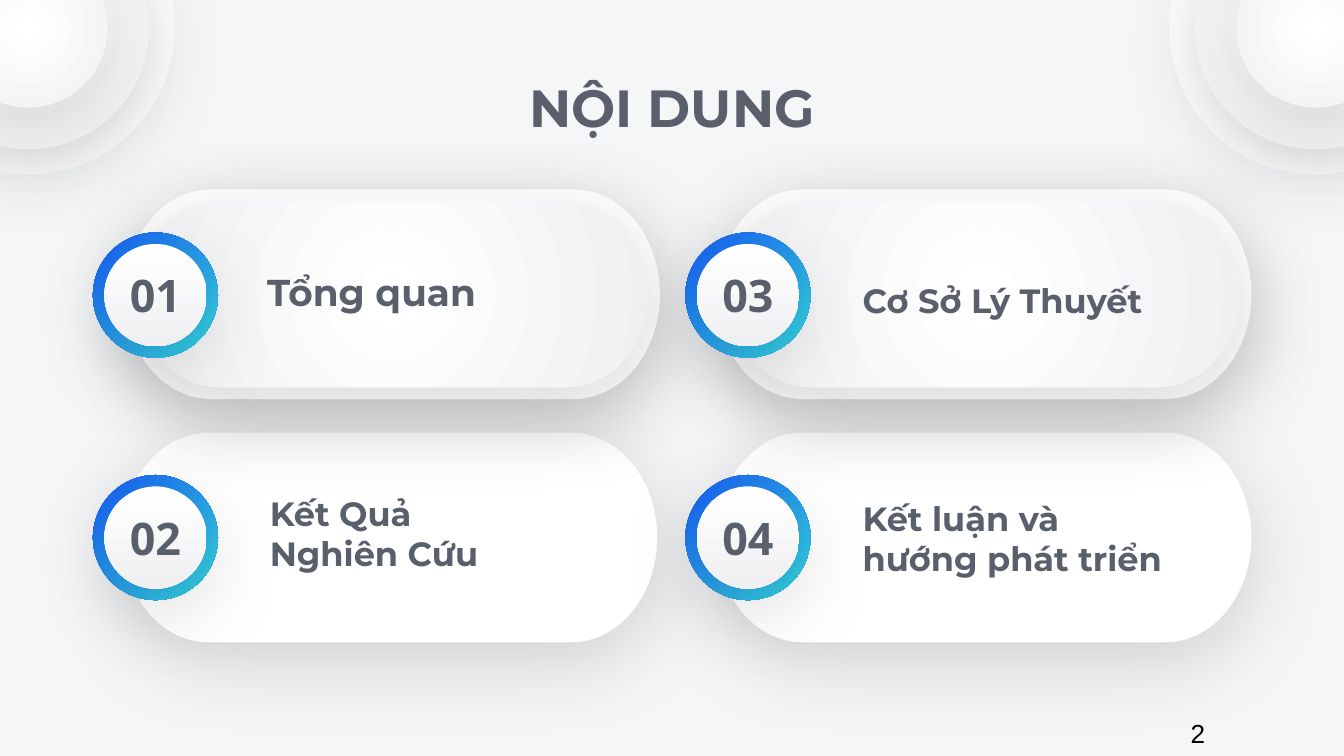
from dataclasses import dataclass
from typing import Optional

from lxml import etree
from pptx import Presentation
from pptx import util as u
from pptx.dml.color import RGBColor
from pptx.enum import shapes, text
from pptx.oxml import ns

Pt = u.Pt
INK, WHITE, MIST = "595F6B", "FFFFFF", "F0F0F3"
OVAL = shapes.MSO_SHAPE.OVAL
PILL = shapes.MSO_SHAPE.FLOWCHART_TERMINATOR
MIDDLE, TOP = text.MSO_ANCHOR.MIDDLE, text.MSO_ANCHOR.TOP
LEFT, CENTER = text.PP_ALIGN.LEFT, text.PP_ALIGN.CENTER


@dataclass(frozen=True)
class Box:
    left: float
    top: float
    width: float
    height: float

    def shrink(self, inset: float) -> "Box":
        return Box(self.left + inset, self.top + inset,
                   self.width - 2 * inset, self.height - 2 * inset)

    def points(self) -> tuple:
        return Pt(self.left), Pt(self.top), Pt(self.width), Pt(self.height)


@dataclass(frozen=True)
class Paint:
    start: str
    end: Optional[str] = None
    angle: Optional[float] = None


@dataclass(frozen=True)
class Style:
    size: float
    font: str = "Montserrat"
    color: str = INK
    bold: bool = True
    align: int = LEFT
    anchor: int = MIDDLE
    inset: float = 7.2
    hanging: bool = False


@dataclass(frozen=True)
class Topic:
    number: str
    lines: tuple
    card: Box
    badge: Box
    label: Box
    number_top: float
    raised: bool
    style: Style


RADIAL = Paint(WHITE, MIST)
DISC = Paint(WHITE, MIST, 270)
RING = Paint("1658F1", "36DBE0", 315)
TOPIC = Style(18, hanging=True)
NUMBER = Style(24, "Open Sans", align=CENTER)


def rgb(value: str) -> RGBColor:
    return RGBColor.from_string(value)


def add_child(parent, tag: str, **attributes: str):
    return etree.SubElement(parent, ns.qn(tag), attributes)


def paint_shape(shape, paint: Paint) -> None:
    if paint.end is None:
        shape.fill.solid()
        shape.fill.fore_color.rgb = rgb(paint.start)
        return
    shape.fill.gradient()
    for stop, color in zip(shape.fill.gradient_stops, (paint.start, paint.end)):
        stop.color.rgb = rgb(color)
    if paint.angle is not None:
        shape.fill.gradient_angle = paint.angle
        return
    gradient = shape._element.spPr.find(ns.qn("a:gradFill"))
    gradient.remove(gradient.find(ns.qn("a:lin")))
    circle = add_child(gradient, "a:path", path="circle")
    add_child(circle, "a:fillToRect", l="50000", t="50000", r="50000", b="50000")


def add_form(slide, kind: int, box: Box, paint: Paint, shadow: bool = True) -> None:
    shape = slide.shapes.add_shape(kind, *box.points())
    paint_shape(shape, paint)
    shape.line.fill.background()
    shape.rotation = 180 if kind == PILL else 0
    shape.shadow.inherit = False
    if shadow:
        effects = shape._element.spPr.find(ns.qn("a:effectLst"))
        outer = add_child(effects, "a:outerShdw", blurRad=str(Pt(45)), dist=str(Pt(11.2)),
                          dir=str(85 * 60000), algn="bl", rotWithShape="0")
        color = add_child(outer, "a:srgbClr", val="000000")
        add_child(color, "a:alpha", val="15000")


def add_text(slide, box: Box, lines: tuple, style: Style) -> None:
    frame = slide.shapes.add_textbox(*box.points()).text_frame
    frame.word_wrap = True
    frame.vertical_anchor = style.anchor
    frame.margin_left = frame.margin_right = Pt(7.2)
    frame.margin_top = frame.margin_bottom = Pt(style.inset)
    for index, line in enumerate(lines):
        para = frame.add_paragraph() if index else frame.paragraphs[0]
        para.alignment = style.align
        if style.hanging:
            properties = para._p.get_or_add_pPr()
            properties.set("marL", str(Pt(36)))
            properties.set("indent", str(Pt(-25.9)))
        span = para.add_run()
        span.text = line
        span.font.name = style.font
        span.font.size = Pt(style.size)
        span.font.bold = style.bold
        span.font.color.rgb = rgb(style.color)


def add_corner_rings(slide, center_x: float) -> None:
    rings = (157, Paint(WHITE), False), (129.6, RADIAL, True), (85, RADIAL, True)
    for size, paint, shadow in rings:
        box = Box(center_x - size / 2, 15.1 - size / 2, size, size)
        add_form(slide, OVAL, box, paint, shadow)


def add_card(slide, topic: Topic) -> None:
    add_form(slide, PILL, topic.card, Paint(WHITE))
    if topic.raised:
        add_form(slide, PILL, topic.card.shrink(6.3), RADIAL)


def add_badge(slide, topic: Topic) -> None:
    add_form(slide, OVAL, topic.badge, RING, shadow=False)
    add_form(slide, OVAL, topic.badge.shrink(6.1), DISC)


def add_labels(slide, topic: Topic) -> None:
    number_box = Box(topic.badge.left, topic.number_top, topic.badge.width, 41.8)
    add_text(slide, number_box, (topic.number,), NUMBER)
    add_text(slide, topic.label, topic.lines, topic.style)


def make_topic(number: str, lines: tuple, column: int, row: int,
               label: Box, style: Style = TOPIC) -> Topic:
    """Place a topic in the two-by-two grid."""
    card_left = 383.8 if column else (65.5 if row else 66.9)
    badge_top = 124.6 + 129.9 * row
    return Topic(number, lines, Box(card_left, 101.5 + 130.3 * row, 286.6, 112.3),
                 Box(49.8 + 317.4 * column, badge_top, 67, 67), label,
                 136.8 + 130.3 * row, row == 0, style)


def main() -> None:
    deck = Presentation()
    deck.slide_width, deck.slide_height = Pt(720), Pt(405)
    page = deck.slides.add_slide(deck.slide_layouts[6])
    page.background.fill.solid()
    page.background.fill.fore_color.rgb = rgb("F5F6F8")
    for center_x in (15.1, 704.9):
        add_corner_rings(page, center_x)
    topics = (
        make_topic("04", ("Kết luận và", "hướng phát triển"), 1, 1,
                   Box(445, 273.6, 199.4, 29.5)),
        make_topic("02", ("Kết Quả", "Nghiên Cứu"), 0, 1, Box(127.4, 270.7, 199.4, 29.5)),
        make_topic("03", ("Cơ Sở Lý Thuyết",), 1, 0, Box(445, 146.2, 199.4, 29.5)),
        make_topic("01", ("Tổng quan",), 0, 0, Box(126, 136.8, 199.4, 38.2),
                   Style(20, anchor=TOP, hanging=True)),
    )
    for draw in (add_card, add_badge, add_labels):
        for topic in topics:
            draw(page, topic)
    add_text(page, Box(56.2, 42.5, 607.7, 29.5), ("NỘI DUNG",), Style(28, align=CENTER))
    add_text(page, Box(630.7, 380.9, 36.7, 24.5), ("2",),
             Style(14, "Arial", "000000", bold=False, anchor=TOP, inset=3.6))
    deck.save("out.pptx")


if __name__ == "__main__":
    main()
